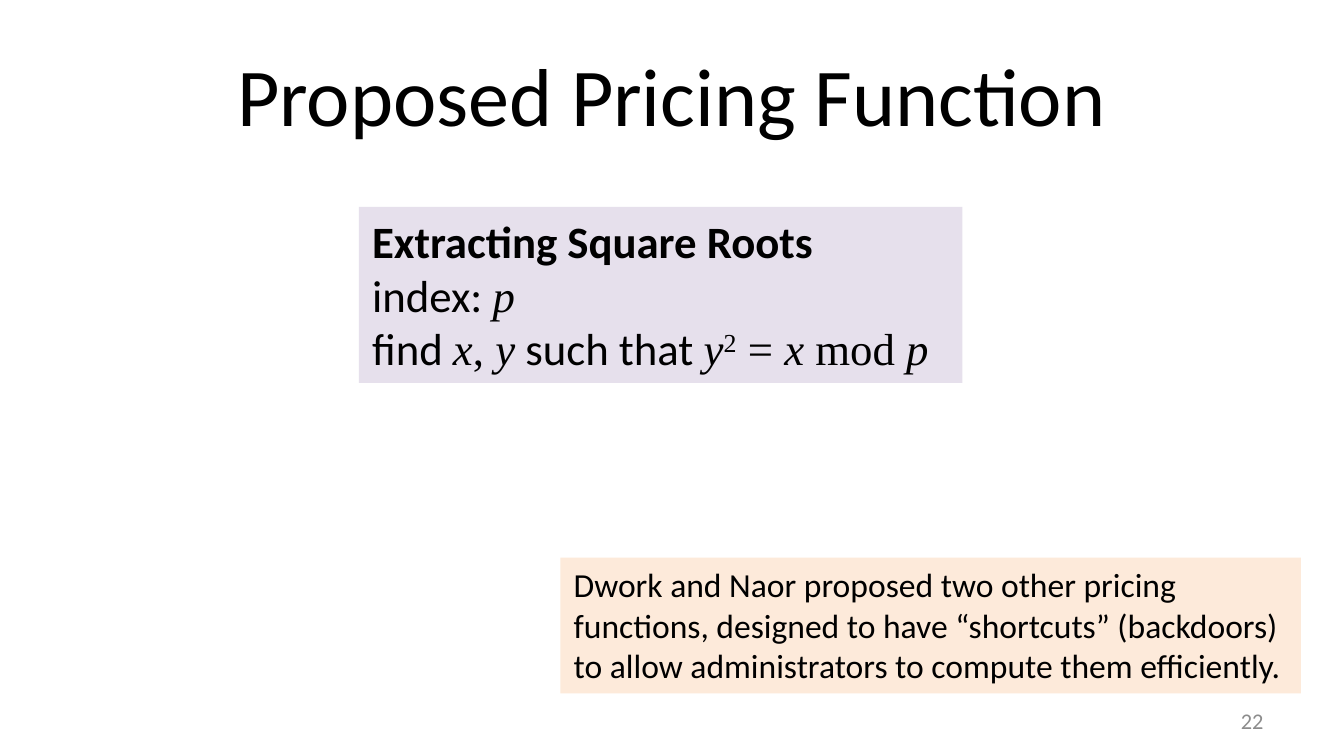
import pptx
import pptx.dml.color
import pptx.enum.text
import pptx.util

Inches = pptx.util.Inches
ALIGN = pptx.enum.text.PP_ALIGN
ANCHOR = pptx.enum.text.MSO_ANCHOR
AUTO_SIZE = pptx.enum.text.MSO_AUTO_SIZE
SANS = "Calibri"
SERIF = "Times New Roman"
SLIDE_WIDTH = 10
SLIDE_HEIGHT = SLIDE_WIDTH * 9 / 16


def color(value):
    return pptx.dml.color.RGBColor.from_string(value)


def place(shape, box):
    shape.left, shape.top, shape.width, shape.height = map(Inches, box)


def format_paragraph(paragraph, size, text_color="000000", align=ALIGN.LEFT):
    paragraph.alignment = align
    paragraph.font.size = pptx.util.Pt(size)
    paragraph.font.name = SANS
    paragraph.font.color.rgb = color(text_color)


def add_text_box(slide, box, fill=None, wrap=True):
    shape = slide.shapes.add_textbox(*map(Inches, box))
    if fill:
        shape.fill.solid()
        shape.fill.fore_color.rgb = color(fill)
        shape.text_frame.auto_size = AUTO_SIZE.SHAPE_TO_FIT_TEXT
    shape.text_frame.word_wrap = wrap
    return shape.text_frame


def add_title(slide, box, text):
    title = slide.shapes.title
    place(title, box)
    title.text_frame.text = text
    title.text_frame.vertical_anchor = ANCHOR.MIDDLE
    format_paragraph(title.text_frame.paragraphs[0], 44, align=ALIGN.CENTER)


def add_math_runs(paragraph, parts):
    for text, style in parts:
        run = paragraph.add_run()
        run.text = text
        if style != "plain":
            run.font.name = SERIF
        if style == "variable":
            run.font.italic = True
        if style == "superscript":
            run.font._element.set("baseline", "30000")


def add_function_box(slide, box, heading, lines):
    frame = add_text_box(slide, box, "E6E0EC", wrap=False)
    paragraph = frame.paragraphs[0]
    paragraph.text = heading
    format_paragraph(paragraph, 24)
    paragraph.font.bold = True
    for parts in lines:
        paragraph = frame.add_paragraph()
        format_paragraph(paragraph, 24)
        add_math_runs(paragraph, parts)


def add_note(slide, box, text):
    frame = add_text_box(slide, box, "FDEADA")
    frame.text = text
    format_paragraph(frame.paragraphs[0], 18)


def add_slide_number(slide, box, number):
    frame = add_text_box(slide, box)
    frame.text = str(number)
    frame.vertical_anchor = ANCHOR.MIDDLE
    format_paragraph(frame.paragraphs[0], 12, "8C8C8C", ALIGN.RIGHT)


def main():
    presentation = pptx.Presentation()
    presentation.slide_width = Inches(SLIDE_WIDTH)
    presentation.slide_height = Inches(SLIDE_HEIGHT)
    slide = presentation.slides.add_slide(presentation.slide_layouts[5])

    add_title(slide, (0.5, 0.23, 9, 0.94), "Proposed Pricing Function")
    add_slide_number(slide, (7.17, 5.21, 2.33, 0.3), 22)
    add_function_box(slide, (2.67, 1.54, 4.49, 1.31), "Extracting Square Roots", [
        [("index: ", "plain"), ("p", "variable")],
        [("find ", "plain"), ("x", "variable"), (", ", "serif"),
         ("y", "variable"), (" such that ", "plain"), ("y", "variable"),
         ("2", "superscript"), (" = ", "serif"), ("x", "variable"),
         (" mod ", "serif"), ("p", "variable")],
    ])
    add_note(slide, (4.17, 4.15, 5.51, 1.01),
             "Dwork and Naor proposed two other pricing functions, designed to "
             "have “shortcuts” (backdoors) to allow administrators to compute "
             "them efficiently.")
    presentation.save("out.pptx")


if __name__ == "__main__":
    main()
